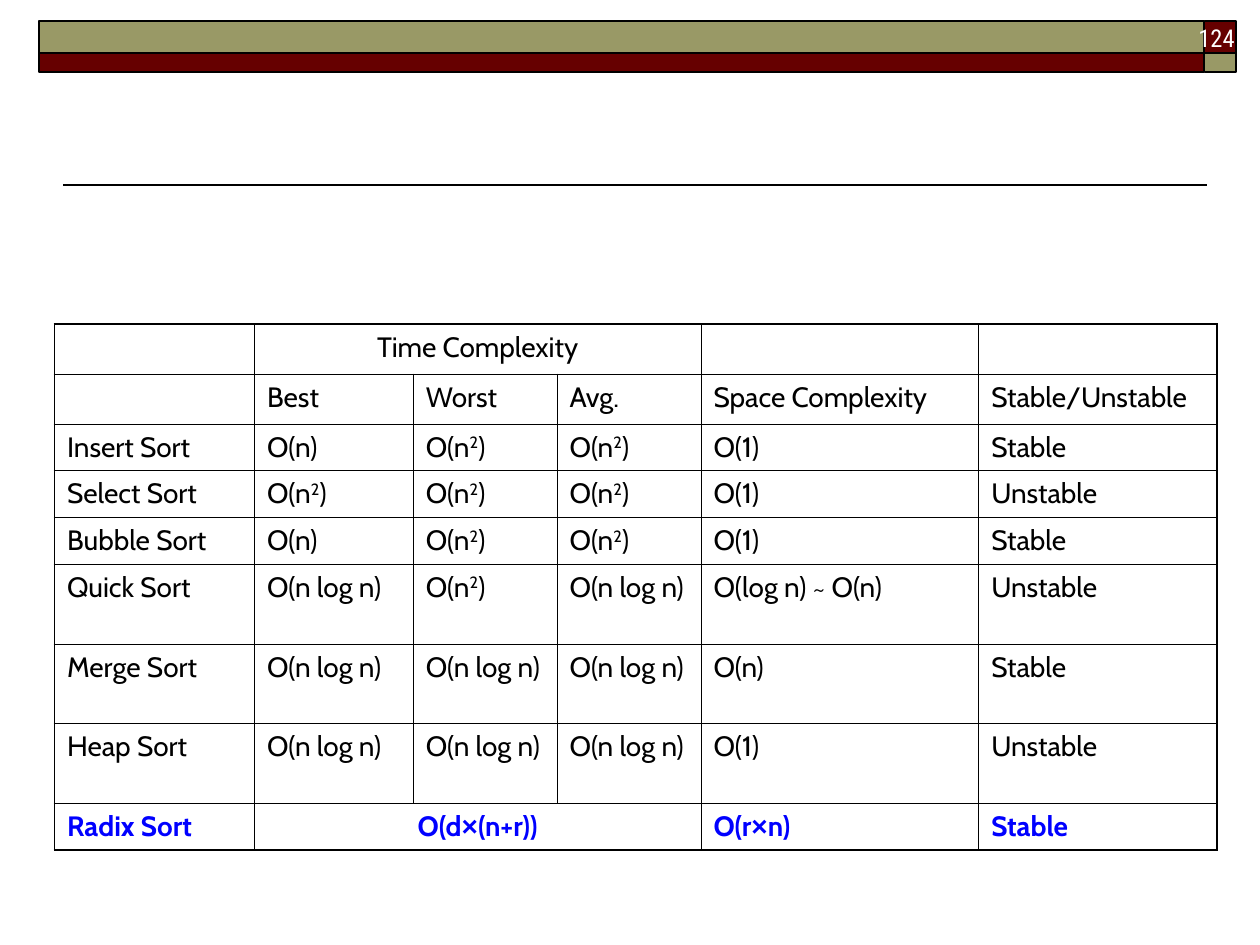
import itertools

import lxml.etree
import pptx
import pptx.dml.color
import pptx.enum.shapes
import pptx.enum.text
import pptx.oxml.ns
import pptx.util

Cm = pptx.util.Cm
Pt = pptx.util.Pt
ALIGN = pptx.enum.text.PP_ALIGN
BLACK, WHITE, BLUE = "000000", "FFFFFF", "0000FF"
OLIVE, MAROON = "999966", "660000"

COLS = [4.03, 3.2, 2.9, 2.9, 5.6, 4.8]
ROWS = [1.01] * 2 + [0.94] * 3 + [1.61] * 3 + [0.94]
SORTS = [
    ["", "Time Complexity", "", "", "", ""],
    ["", "Best", "Worst", "Avg.", "Space Complexity", "Stable/Unstable"],
    ["Insert Sort", "O(n)", "O(n²)", "O(n²)", "O(1)", "Stable"],
    ["Select Sort", "O(n²)", "O(n²)", "O(n²)", "O(1)", "Unstable"],
    ["Bubble Sort", "O(n)", "O(n²)", "O(n²)", "O(1)", "Stable"],
    ["Quick Sort", "O(n log n)", "O(n²)", "O(n log n)", "O(log n) ~ O(n)", "Unstable"],
    ["Merge Sort", "O(n log n)", "O(n log n)", "O(n log n)", "O(n)", "Stable"],
    ["Heap Sort", "O(n log n)", "O(n log n)", "O(n log n)", "O(1)", "Unstable"],
    ["Radix Sort", "O(d×(n+r))", "", "", "O(r×n)", "Stable"],
]


def color(code):
    return pptx.dml.color.RGBColor.from_string(code)


def child(node, tag, **attrs):
    return lxml.etree.SubElement(node, pptx.oxml.ns.qn(tag), **attrs)


class Deck:
    font = "Cabin"
    size = 16
    thin = 0.45
    thick = 1.08

    def __init__(self, width, height):
        self.file = pptx.Presentation()
        self.file.slide_width = Cm(width)
        self.file.slide_height = Cm(height)
        self.slide = self.file.slides.add_slide(self.file.slide_layouts[6])

    def bar(self, left, top, width, height, fill):
        kind = pptx.enum.shapes.MSO_SHAPE.RECTANGLE
        shape = self.slide.shapes.add_shape(kind, Cm(left), Cm(top), Cm(width), Cm(height))
        shape.shadow.inherit = False
        shape.fill.solid()
        shape.fill.fore_color.rgb = color(fill)
        shape.line.color.rgb = color(BLACK)
        shape.line.width = Pt(1)

    def rule(self, left, right, top):
        kind = pptx.enum.shapes.MSO_CONNECTOR.STRAIGHT
        line = self.slide.shapes.add_connector(kind, Cm(left), Cm(top), Cm(right), Cm(top))
        line.line.color.rgb = color(BLACK)
        line.line.width = Pt(1)
        child(line._element.spPr, "a:effectLst")

    def run(self, para, text, font, size, ink, bold=False):
        run = para.add_run()
        run.text = text
        run.font.name = font
        run.font.size = Pt(size)
        run.font.bold = bold
        run.font.color.rgb = color(ink)
        return run

    def label(self, left, top, width, height, text, font, size, ink):
        box = self.slide.shapes.add_textbox(Cm(left), Cm(top), Cm(width), Cm(height))
        box.text_frame.word_wrap = True
        para = box.text_frame.paragraphs[0]
        para.alignment = ALIGN.RIGHT
        self.run(para, text, font, size, ink)

    def term(self, para, text, ink, bold):
        for mark, chars in itertools.groupby(text, lambda c: c if c in "²×" else ""):
            part = "2" if mark == "²" else "".join(chars)
            font = "Arial" if mark == "×" else self.font
            run = self.run(para, part, font, self.size, ink, bold)
            if mark == "²":
                run._r.get_or_add_rPr().set("baseline", "30000")

    def edges(self, cell, outer):
        props = cell._tc.get_or_add_tcPr()
        for side in "LRTB":
            width = Pt(self.thick if side in outer else self.thin)
            line = child(props, "a:ln" + side, w=str(int(width)))
            child(child(line, "a:solidFill"), "a:srgbClr", val=BLACK)

    def table(self, left, top, cols, rows, data, spans):
        last, end = len(rows) - 1, len(cols) - 1
        frame = self.slide.shapes.add_table(
            len(rows), len(cols), Cm(left), Cm(top), Cm(sum(cols)), Cm(sum(rows)))
        grid = frame.table
        grid.first_row = grid.horz_banding = False
        for col, width in zip(grid.columns, cols):
            col.width = Cm(width)
        for row, height in zip(grid.rows, rows):
            row.height = Cm(height)
        for r, c in itertools.product(range(len(rows)), range(len(cols))):
            cell = grid.cell(r, c)
            sides = {"L": c == 0, "R": c == end, "T": r == 0, "B": r == last}
            self.edges(cell, [side for side in sides if sides[side]])
            cell.fill.background()
            para = cell.text_frame.paragraphs[0]
            para.font.size = Pt(self.size)
            para.alignment = ALIGN.CENTER if (r, c) in spans else ALIGN.LEFT
            self.term(para, data[r][c], BLUE if r == last else BLACK, r == last)
        for (r, c), count in spans.items():
            grid.cell(r, c).merge(grid.cell(r, c + count - 1))


def main():
    deck = Deck(25.4, 19.05)
    deck.bar(24.28, 0.43, 0.64, 0.64, MAROON)
    deck.rule(24.33, 1.27, 3.73)
    deck.bar(0.79, 0.43, 23.49, 0.64, OLIVE)
    deck.bar(0.79, 1.07, 23.49, 0.38, MAROON)
    deck.bar(24.28, 1.07, 0.64, 0.38, OLIVE)
    deck.table(1.1, 6.53, COLS, ROWS, SORTS, {(0, 1): 3, (8, 1): 3})
    deck.label(19.86, 0.33, 5.28, 0.81, "124", "Roboto Condensed", 14, WHITE)
    deck.file.save("out.pptx")


if __name__ == "__main__":
    main()
